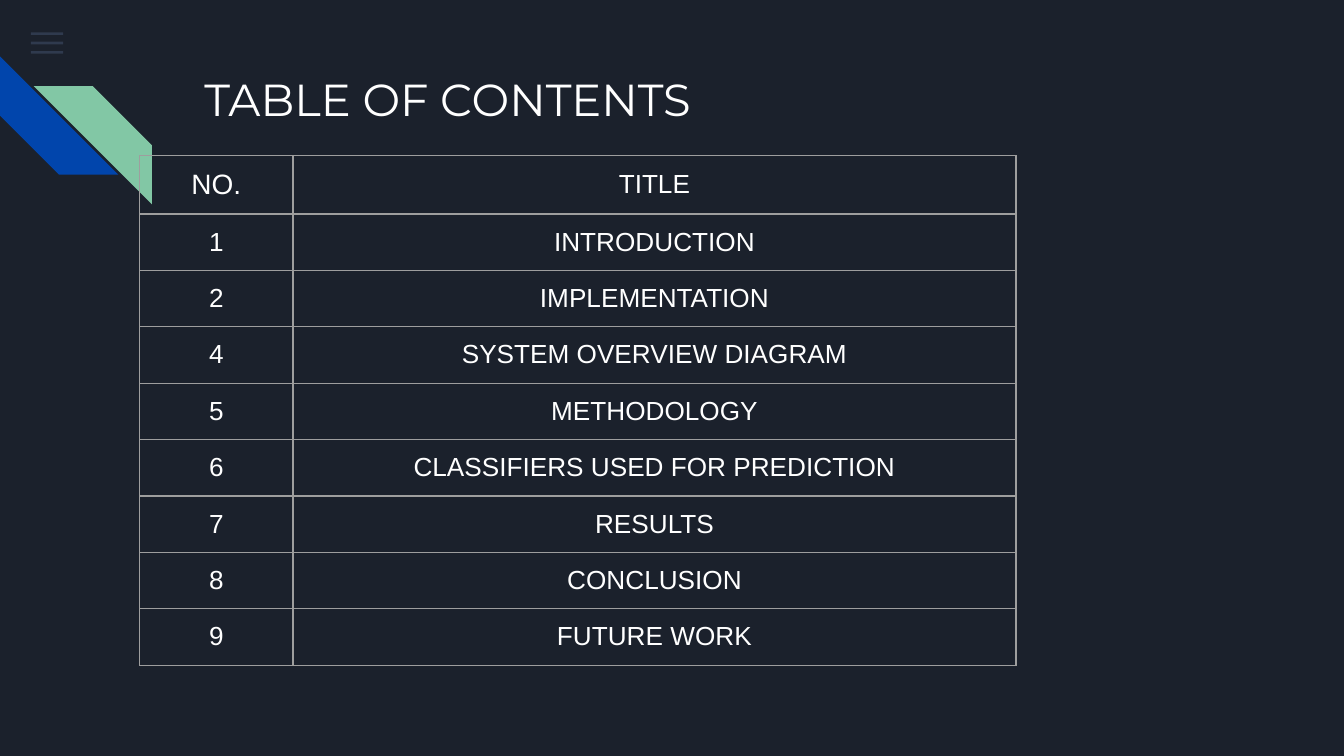
import pptx
import pptx.util
import pptx.dml.color
import pptx.enum.shapes
import pptx.enum.text
import pptx.oxml
import pptx.oxml.ns
from pptx.util import Inches

SHAPE = pptx.enum.shapes.MSO_SHAPE
WHITE, GREY, NAVY = "FFFFFF", "9E9E9E", "1B212C"
BLUE, GREEN, SLATE = "0145AC", "82C7A5", "55688B"
ROWS = [
    ("NO.", "TITLE"),
    ("1", "INTRODUCTION"),
    ("2", "IMPLEMENTATION"),
    ("4", "SYSTEM OVERVIEW DIAGRAM"),
    ("5", "METHODOLOGY"),
    ("6", "CLASSIFIERS USED FOR PREDICTION"),
    ("7", "RESULTS"),
    ("8", "CONCLUSION"),
    ("9", "FUTURE WORK"),
]


def rgb(color):
    return pptx.dml.color.RGBColor.from_string(color)


def set_font(p, name, size):
    p.font.name = name
    p.font.size = pptx.util.Pt(size)
    p.font.color.rgb = rgb(WHITE)


def set_margins(box):
    box.margin_left = box.margin_right = Inches(0.1)
    box.margin_top = box.margin_bottom = Inches(0.1)


def add_plain_shape(s, kind, x, y, w, h, color):
    sp = s.shapes.add_shape(kind, Inches(x), Inches(y), Inches(w), Inches(h))
    sp.shadow.inherit = False
    sp.fill.solid()
    sp.fill.fore_color.rgb = rgb(color)
    sp.line.fill.background()
    return sp


def add_menu_icon(s, x, y, w):
    """Three faint bars."""
    for i in range(3):
        bar = add_plain_shape(s, SHAPE.RECTANGLE, x, y + i * 0.07, w, 0.02, SLATE)
        color = bar.fill._xPr.find(".//" + pptx.oxml.ns.qn("a:srgbClr"))
        color.append(pptx.oxml.parse_xml(
            f'<a:alpha {pptx.oxml.ns.nsdecls("a")} val="36000"/>'))


def add_stripes(s, x, y, size):
    blue = add_plain_shape(s, SHAPE.DIAGONAL_STRIPE, x, y, size, size, BLUE)
    blue.rotation = 270
    green = add_plain_shape(
        s, SHAPE.DIAGONAL_STRIPE, x + 0.25, y + 0.22, size, size, GREEN)
    green._element.spPr.xfrm.set("flipH", "1")


def place_title(s, text, x, y, w, h):
    title = s.shapes.title
    title.left, title.top = Inches(x), Inches(y)
    title.width, title.height = Inches(w), Inches(h)
    tf = title.text_frame
    tf.text = text
    tf.word_wrap = True
    tf.auto_size = pptx.enum.text.MSO_AUTO_SIZE.NONE
    tf.vertical_anchor = pptx.enum.text.MSO_ANCHOR.TOP
    set_margins(tf)
    p = tf.paragraphs[0]
    p.alignment = pptx.enum.text.PP_ALIGN.LEFT
    set_font(p, "Montserrat", 24)


def add_borders(cell):
    tc_pr = cell._tc.get_or_add_tcPr()
    for i, side in enumerate(("lnL", "lnR", "lnT", "lnB")):
        tc_pr.insert(i, pptx.oxml.parse_xml(
            f'<a:{side} {pptx.oxml.ns.nsdecls("a")} w="9525"><a:solidFill>'
            f'<a:srgbClr val="{GREY}"/></a:solidFill></a:{side}>'))


def add_contents_table(s, rows, x, y, col_widths, row_height):
    frame = s.shapes.add_table(
        len(rows), len(col_widths), Inches(x), Inches(y),
        Inches(sum(col_widths)), Inches(row_height * len(rows)))
    table = frame.table
    table.first_row = table.horz_banding = False
    for col, width in zip(table.columns, col_widths):
        col.width = Inches(width)
    for r, row in enumerate(rows):
        table.rows[r].height = Inches(row_height)
        for c, text in enumerate(row):
            cell = table.cell(r, c)
            cell.text = text
            set_margins(cell)
            cell.fill.background()
            add_borders(cell)
            p = cell.text_frame.paragraphs[0]
            p.alignment = pptx.enum.text.PP_ALIGN.CENTER
            set_font(p, "Arial", 15 if (r, c) == (0, 0) else 14)


def main():
    prs = pptx.Presentation()
    prs.slide_width, prs.slide_height = Inches(10), Inches(10 * 9 / 16)
    s = prs.slides.add_slide(prs.slide_layouts[5])
    s.background.fill.solid()
    s.background.fill.fore_color.rgb = rgb(NAVY)
    add_menu_icon(s, 0.23, 0.24, 0.24)
    add_stripes(s, 0, 0.42, 0.88)
    place_title(s, "TABLE OF CONTENTS", 1.42, 0.43, 7.7, 1)
    add_contents_table(s, ROWS, 1.04, 1.16, (1.14, 5.38), 0.42)
    prs.save("out.pptx")


if __name__ == "__main__":
    main()
